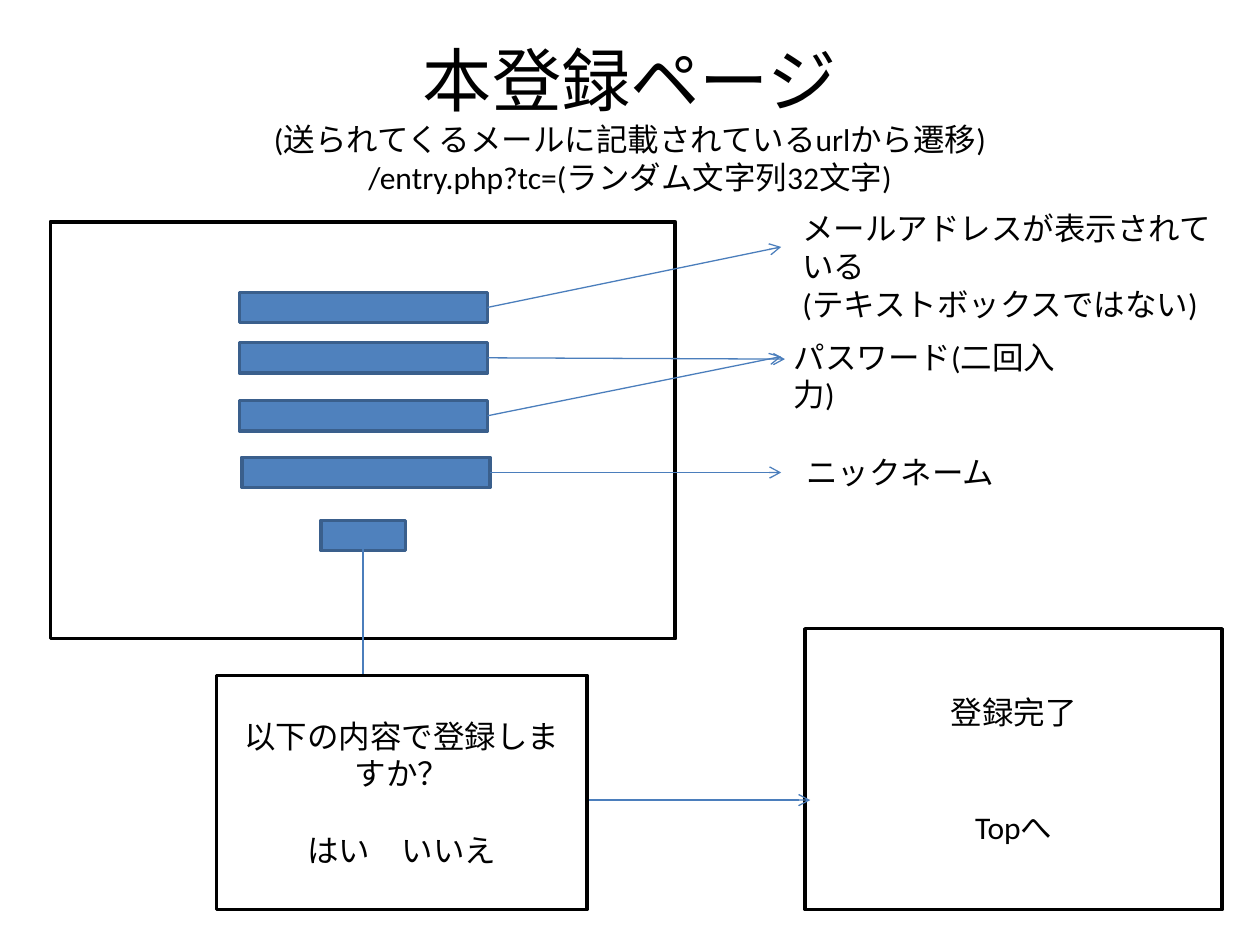
import pptx
import pptx.util
from pptx.dml.color import RGBColor
from pptx.enum.shapes import MSO_CONNECTOR, MSO_SHAPE
from pptx.enum.text import MSO_ANCHOR, PP_ALIGN
from pptx.oxml import parse_xml
from pptx.oxml.ns import nsdecls, qn
from pptx.util import Inches, Pt

BLACK = RGBColor(0x00, 0x00, 0x00)
WHITE = RGBColor(0xFF, 0xFF, 0xFF)
BLUE = RGBColor(0x4F, 0x81, 0xBD)
DARK_BLUE = RGBColor(0x3A, 0x5F, 0x8C)
ARROW_BLUE = RGBColor(0x4B, 0x7E, 0xBC)
FONT = "Calibri"


def write_text(tf, lines, sizes=None, align=PP_ALIGN.LEFT, anchor=MSO_ANCHOR.TOP, gap=0):
    """Write one paragraph per line, with gap points between paragraphs."""
    tf.word_wrap = True
    tf.vertical_anchor = anchor
    for i, line in enumerate(lines):
        p = tf.paragraphs[0] if i == 0 else tf.add_paragraph()
        p.alignment = align
        p.space_before = Pt(gap if i else 0)
        r = p.add_run()
        r.text = line
        r.font.name = FONT
        r.font.size = Pt(sizes[i] if sizes else 18)
        r.font.color.rgb = BLACK


def add_label(s, box, lines, **fmt):
    tb = s.shapes.add_textbox(*map(Inches, box))
    write_text(tb.text_frame, lines, **fmt)


def add_box(s, box, fill=WHITE, line=BLACK):
    sp = s.shapes.add_shape(MSO_SHAPE.RECTANGLE, *map(Inches, box))
    sp.shadow.inherit = False
    sp.fill.solid()
    sp.fill.fore_color.rgb = fill
    sp.line.color.rgb = line
    sp.line.width = Pt(2)
    return sp


def add_screen(s, box, lines, gap):
    sp = add_box(s, box)
    write_text(sp.text_frame, lines, align=PP_ALIGN.CENTER,
               anchor=MSO_ANCHOR.MIDDLE, gap=gap)


def add_arrow(s, start, end, kind=MSO_CONNECTOR.STRAIGHT):
    cx = s.shapes.add_connector(kind, *map(Inches, start + end))
    cx.line.color.rgb = ARROW_BLUE
    cx.line.width = Pt(0.75)
    cx.line._get_or_add_ln().append(
        parse_xml(f'<a:tailEnd {nsdecls("a")} type="arrow"/>'))
    cx._element.spPr.append(parse_xml(f'<a:effectLst {nsdecls("a")}/>'))
    return cx


def add_down_right_arrow(s, start, end):
    """Elbow with one corner: down from start, then right to end."""
    cx = add_arrow(s, start, end, MSO_CONNECTOR.ELBOW)
    (x1, y1), (x2, y2) = start, end
    w, h = y2 - y1, x2 - x1  # sides swap because the shape is turned 270 degrees
    cx.left, cx.top = Inches((x1 + x2 - w) / 2), Inches((y1 + y2 - h) / 2)
    cx.width, cx.height = Inches(w), Inches(h)
    spPr = cx._element.spPr
    spPr.find(qn("a:prstGeom")).set("prst", "bentConnector2")
    xfrm = spPr.find(qn("a:xfrm"))
    xfrm.set("rot", str(270 * 60000))
    xfrm.set("flipH", "1")


def add_entry_form(s, box):
    """Draw the form frame, its fields and button; return the fields."""
    x, y, _, _ = box
    add_box(s, box)
    offsets = [(1.5, 0.56), (1.5, 0.96), (1.5, 1.42), (1.52, 1.87)]
    fields = [add_box(s, (x + dx, y + dy, 1.97, 0.24), BLUE, DARK_BLUE)
              for dx, dy in offsets]
    add_box(s, (x + 2.15, y + 2.37, 0.67, 0.24), BLUE, DARK_BLUE)
    return fields


def add_field_notes(s, fields):
    tips = [(6.2, 1.96), (6.23, 2.85), (6.2, 2.83), (6.2, 3.75)]
    for field, tip in zip(fields, tips):
        cx = add_arrow(s, (3.87, tip[1]), tip)
        cx.begin_connect(field, 3)
    add_label(s, (6.27, 1.61, 3.61, 0.71),
              ["メールアドレスが表示されている", "(テキストボックスではない)"])
    add_label(s, (6.2, 2.63, 2.51, 0.4), ["パスワード(二回入力)"])
    add_label(s, (6.3, 3.55, 2.37, 0.4), ["ニックネーム"])


def main():
    prs = pptx.Presentation()
    prs.slide_width, prs.slide_height = Inches(10), Inches(7.5)
    s = prs.slides.add_slide(prs.slide_layouts[6])
    add_label(s, (0.5, 0.3, 9, 1.25),
              ["本登録ページ",
               "(送られてくるメールに記載されているurlから遷移)",
               "/entry.php?tc=(ランダム文字列32文字)"],
              sizes=[39.6, 18, 18], align=PP_ALIGN.CENTER, anchor=MSO_ANCHOR.MIDDLE)
    fields = add_entry_form(s, (0.4, 1.76, 4.96, 3.31))
    add_screen(s, (6.39, 4.99, 3.31, 2.23), ["登録完了", "Topへ"], gap=44)
    add_down_right_arrow(s, (2.88, 4.36), (6.43, 6.35))
    add_field_notes(s, fields)
    add_screen(s, (1.72, 5.36, 2.94, 1.86),
               ["以下の内容で登録しますか？", "はい　いいえ"], gap=22)
    prs.save("out.pptx")


if __name__ == "__main__":
    main()
